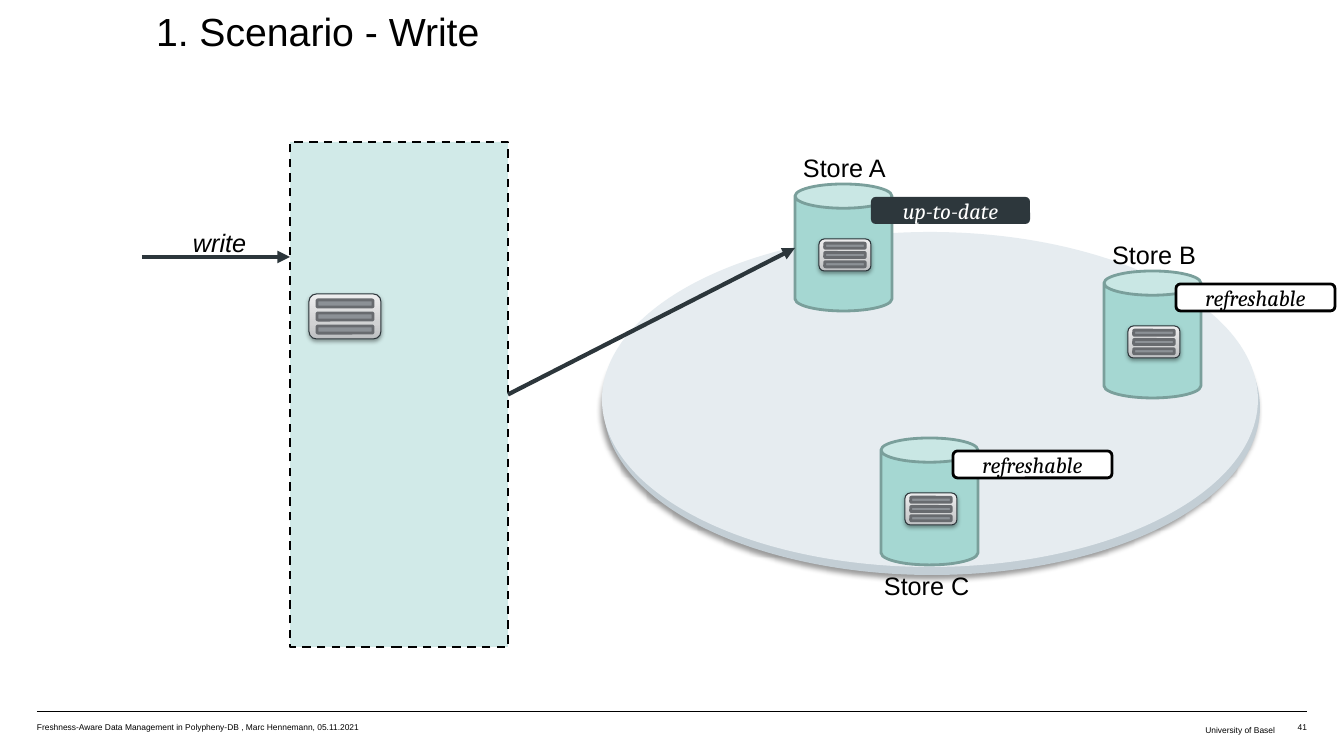
import pptx
import pptx.dml.color
import pptx.enum.dml
import pptx.enum.shapes
import pptx.enum.text
import pptx.oxml
import pptx.oxml.ns
import pptx.util
from lxml import etree

SCALE = 12192000 / 1344
SHAPE = pptx.enum.shapes.MSO_SHAPE
ALIGN = pptx.enum.text.PP_ALIGN
ANCHOR = pptx.enum.text.MSO_ANCHOR
BLACK, WHITE, DARK, MINT = "000000", "FFFFFF", "2C363B", "A5D7D2"
NAMESPACE = pptx.oxml.ns.nsdecls("a")


def px(length):
    """Turn pixels into EMU."""
    return pptx.util.Emu(round(length * SCALE))


def color(code):
    """Turn a hex string into a colour."""
    return pptx.dml.color.RGBColor.from_string(code)


def put_text(holder, text, size, font="Arial", code=BLACK, italic=False, align=ALIGN.LEFT,
             anchor=ANCHOR.TOP, insets=(0, 0, 0, 0), spacing=None):
    """Write one formatted paragraph into a shape."""
    frame = holder.text_frame
    frame.word_wrap = True
    frame.auto_size = pptx.enum.text.MSO_AUTO_SIZE.NONE
    frame.vertical_anchor = anchor
    frame.margin_left, frame.margin_top, frame.margin_right, frame.margin_bottom = map(px, insets)
    para = frame.paragraphs[0]
    para.alignment = align
    if spacing:
        para.line_spacing = pptx.util.Pt(spacing)
    span = para.add_run()
    span.text = text
    span.font.name, span.font.size = font, pptx.util.Pt(size)
    span.font.italic = italic
    span.font.color.rgb = color(code)


def add_text(page, box, text, size, **style):
    """Add a text box."""
    put_text(page.shapes.add_textbox(*map(px, box)), text, size, **style)


def add_label(page, box, text, **style):
    """Add an 18 point caption."""
    add_text(page, box, text, 18, spacing=22, **style)


def add_shape(page, kind, box, fill, line=None, width=1.0):
    """Add a flat preset shape."""
    shape = page.shapes.add_shape(kind, *map(px, box))
    shape.shadow.inherit = False
    shape.fill.solid()
    shape.fill.fore_color.rgb = color(fill)
    if line:
        shape.line.color.rgb = color(line)
        shape.line.width = pptx.util.Pt(width)
    else:
        shape.line.fill.background()
    return shape


def add_shadow(shape, alpha, blur, distance, angle):
    """Give a shape a black outer shadow."""
    effects = shape._element.spPr.find(pptx.oxml.ns.qn("a:effectLst"))
    effects.append(pptx.oxml.parse_xml(
        f'<a:outerShdw {NAMESPACE} blurRad="{round(blur * 12700)}" dist="{round(distance * 12700)}" '
        f'dir="{angle * 60000}" rotWithShape="0"><a:srgbClr val="{BLACK}">'
        f'<a:alpha val="{alpha * 1000}"/></a:srgbClr></a:outerShdw>'))


def add_line(page, start, end, code, width, arrow=False):
    """Add a straight line, with an arrowhead if asked."""
    line = page.shapes.add_connector(pptx.enum.shapes.MSO_CONNECTOR.STRAIGHT, *map(px, start + end))
    line.line.color.rgb = color(code)
    line.line.width = pptx.util.Pt(width)
    if arrow:
        etree.SubElement(line.line._get_or_add_ln(), pptx.oxml.ns.qn("a:tailEnd"), type="triangle")
    etree.SubElement(line._element.spPr, pptx.oxml.ns.qn("a:effectLst"))
    return line


def add_server(page, box):
    """Draw a server with three drives inside the box."""
    left, top, width, height = box
    case = add_shape(page, SHAPE.ROUNDED_RECTANGLE, box, WHITE, DARK, 0.75)
    case.fill.gradient()
    case.fill.gradient_angle = 90
    stops = case._element.spPr.find(".//" + pptx.oxml.ns.qn("a:gsLst"))
    for stop in list(stops):
        stops.remove(stop)
    for position, code in ((0, "BDBFC1"), (35, "D1D2D3"), (100, "EEEEEF")):
        stops.append(pptx.oxml.parse_xml(
            f'<a:gs {NAMESPACE} pos="{position * 1000}"><a:srgbClr val="{code}"/></a:gs>'))
    add_shadow(case, 38, 3.1, 1.6, 90)
    for row in range(3):
        drive = (left + 0.11 * width, top + (0.13 + 0.29 * row) * height, 0.78 * width, 0.16 * height)
        add_shape(page, SHAPE.ROUNDED_RECTANGLE, drive, "8C9196", "686B6F", 2)


def add_store(page, left, top, name, name_offset, status, status_left, fill, line, ink):
    """Draw a named data store with its server and status badge."""
    add_shape(page, SHAPE.CAN, (left, top, 97, 127), MINT, "7A9F9B", 2)
    add_label(page, (left + name_offset[0], top + name_offset[1], 131, 38), name)
    add_server(page, (left + 24, top + 55, 52, 32))
    badge = add_shape(page, SHAPE.ROUNDED_RECTANGLE, (left + status_left, top + 13, 159, 27), fill, line, 2)
    put_text(badge, status, 16, font="Cambria", code=ink, italic=True, align=ALIGN.CENTER,
             anchor=ANCHOR.MIDDLE, insets=(10, 5, 10, 5))


def add_title(page, box, text):
    """Place the slide title."""
    title = page.shapes.title
    title.left, title.top, title.width, title.height = map(px, box)
    put_text(title, text, 28, spacing=22)


def add_cloud(page, box):
    """Draw the raised ellipse that carries the stores."""
    left, top, width, height = box
    rim = add_shape(page, SHAPE.OVAL, (left + 2, top + 8, width, height), "C3CED5")
    add_shadow(rim, 40, 4, 3, 135)
    add_shape(page, SHAPE.OVAL, box, "E6ECF0")


def add_system(page, box):
    """Draw the dashed system box with its server and incoming write."""
    left, top, width, height = box
    system = add_shape(page, SHAPE.RECTANGLE, box, MINT, BLACK, 1.5)
    system.line.dash_style = pptx.enum.dml.MSO_LINE.DASH
    tint = system._element.spPr.find(pptx.oxml.ns.qn("a:solidFill"))[0]
    etree.SubElement(tint, pptx.oxml.ns.qn("a:alpha"), val="50000")
    add_line(page, (left - 148, top + 115), (left, top + 115), DARK, 3, arrow=True)
    add_label(page, (left - 97, top + 85, 101, 36), "write", italic=True)
    add_server(page, (left + 19, top + 152, 72, 45))
    return system


def add_footer(page, box):
    """Draw the rule, source, institution and page number."""
    left, top, width, height = box
    right = left + width
    add_line(page, (left, top), (right, top), BLACK, 0.25)
    add_text(page, (left, top + 9, 342, 20), "Freshness-Aware Data Management in Polypheny-DB , "
             "Marc Hennemann, 05.11.2021", 6, insets=(0, 2, 0, 0))
    add_text(page, (right - 302, top + 9, 280, 20), "University of Basel", 6,
             align=ALIGN.RIGHT, insets=(10, 5, 10, 5))
    add_text(page, (right - 21, top + 9, 21, 20), "41", 6, align=ALIGN.RIGHT, insets=(0, 2, 0, 0))


def main():
    """Build and save the slide."""
    deck = pptx.Presentation()
    deck.slide_width, deck.slide_height = px(1344), px(756)
    page = deck.slides.add_slide(deck.slide_layouts[5])
    add_title(page, (156, 24, 405, 101), "1. Scenario - Write")
    add_cloud(page, (602, 232, 656, 335))
    system = add_system(page, (290, 142, 218, 505))
    add_store(page, 795, 184, "Store A", (8, -32), "up-to-date", 76, "2D373C", None, WHITE)
    for left, top, name, offset in ((1104, 271, "Store B", (8, -32)), (881, 438, "Store C", (3, 132))):
        add_store(page, left, top, name, offset, "refreshable", 72, WHITE, BLACK, BLACK)
    forward = add_line(page, (508, 395), (795, 248), DARK, 3, arrow=True)
    forward.begin_connect(system, 3)
    add_footer(page, (37, 711, 1270, 29))
    deck.save("out.pptx")


if __name__ == "__main__":
    main()
